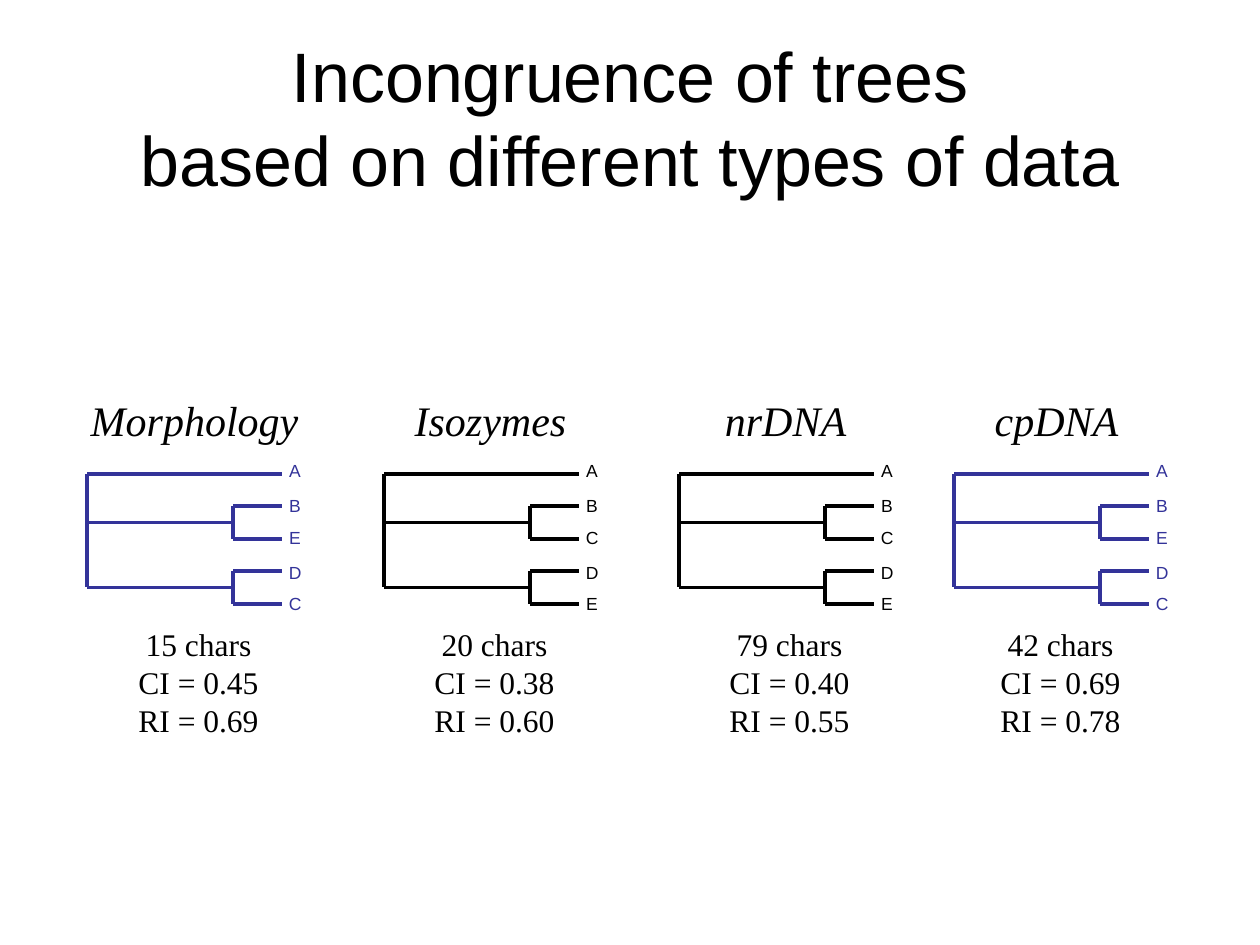
from lxml import etree
from pptx import Presentation
from pptx.dml.color import RGBColor
from pptx.enum.shapes import MSO_CONNECTOR
from pptx.enum.text import MSO_ANCHOR, MSO_AUTO_SIZE, PP_ALIGN
from pptx.oxml.ns import qn
from pptx.util import Emu, Pt

STRAIGHT = MSO_CONNECTOR.STRAIGHT
MIDDLE, TOP = MSO_ANCHOR.MIDDLE, MSO_ANCHOR.TOP
GROW, FIXED = MSO_AUTO_SIZE.SHAPE_TO_FIT_TEXT, MSO_AUTO_SIZE.NONE
CENTER = PP_ALIGN.CENTER

# Content: head, tip names, figures, colour, root x, head x
TITLE = "Incongruence of trees\vbased on different types of data"
TREES = [
    ("Morphology", "ABEDC", ("15 chars", "CI = 0.45", "RI = 0.69"), "blue", 87, 78),
    ("Isozymes", "ABCDE", ("20 chars", "CI = 0.38", "RI = 0.60"), "black", 384, 374),
    ("nrDNA", "ABCDE", ("79 chars", "CI = 0.40", "RI = 0.55"), "black", 679, 669),
    ("cpDNA", "ABEDC", ("42 chars", "CI = 0.69", "RI = 0.78"), "blue", 954, 940),
]

THEME = {
    "black": RGBColor(0x00, 0x00, 0x00),
    "blue": RGBColor(0x33, 0x33, 0x99),
    "sans": "Arial",
    "serif": "Times New Roman",
    "title": Pt(40),
    "head": Pt(24),
    "stats": Pt(18),
    "tip": Pt(10),
    "line": Pt(1.87),
}

# Layout in px
NODE, TIP, NAME = 146, 195, 202  # offsets from the root line
TIP_Y = [474 + 65 * i // 2 for i in range(5)]
NAME_Y = [460, 495, 527, 562, 593]
PAIRS = [(1, 2), (3, 4)]
BOX_W = 233


def px(n):
    return Emu(round(n * 914400 / 126))


def style(frame, font, size, color, italic=False):
    for par in frame.paragraphs:
        par.alignment = CENTER
        for run in par.runs:
            run.font.name = THEME[font]
            run.font.size = THEME[size]
            run.font.color.rgb = THEME[color]
            run.font.italic = italic


def add_text(slide, text, x, y, w, h, font, size, color="black",
             italic=False, label=False):
    box = slide.shapes.add_textbox(px(x), px(y), px(w), px(h))
    frame = box.text_frame
    frame.text = text
    frame.word_wrap = not label
    frame.auto_size = GROW
    frame.vertical_anchor = TOP if label else MIDDLE
    if label:
        frame.margin_left = frame.margin_right = 0
        frame.margin_top = frame.margin_bottom = 0
    style(frame, font, size, color, italic)


def add_line(slide, x1, y1, x2, y2, color):
    line = slide.shapes.add_connector(STRAIGHT, px(x1), px(y1), px(x2), px(y2))
    line.line.color.rgb = THEME[color]
    line.line.width = THEME["line"]
    etree.SubElement(line._element.spPr, qn("a:effectLst"))


def add_tree(slide, root, names, color):
    node, tip = root + NODE, root + TIP
    # Tips: the first one starts at the root, the others at a node
    for i, (name, y, top) in enumerate(zip(names, TIP_Y, NAME_Y)):
        add_line(slide, tip, y, node if i else root, y, color)
        add_text(slide, name, root + NAME, top, 12, 21, "sans", "tip",
                 color, label=True)
    # Inner branches
    for a, b in PAIRS:
        mid = (TIP_Y[a] + TIP_Y[b]) / 2
        add_line(slide, node, mid, root, mid, color)
        add_line(slide, node, TIP_Y[a], node, TIP_Y[b], color)
    # Root line, down to the last inner branch
    add_line(slide, root, TIP_Y[0], root, mid, color)


def main():
    prs = Presentation()
    prs.slide_width, prs.slide_height = px(1260), px(945)
    slide = prs.slides.add_slide(prs.slide_layouts[5])

    # Title
    title = slide.shapes.title
    title.left, title.top = px(63), px(38)
    title.width, title.height = px(1134), px(158)
    frame = title.text_frame
    frame.text = TITLE
    frame.auto_size = FIXED
    frame.vertical_anchor = MIDDLE
    style(frame, "sans", "title", "black")

    # Trees with heads and figures
    for head, names, stats, color, root, left in TREES:
        add_tree(slide, root, names, color)
        add_text(slide, head, left, 388, BOX_W, 63, "serif", "head", italic=True)
        add_text(slide, "\n".join(stats), left + 4, 619, BOX_W, 126,
                 "serif", "stats")

    prs.save("out.pptx")


if __name__ == "__main__":
    main()
